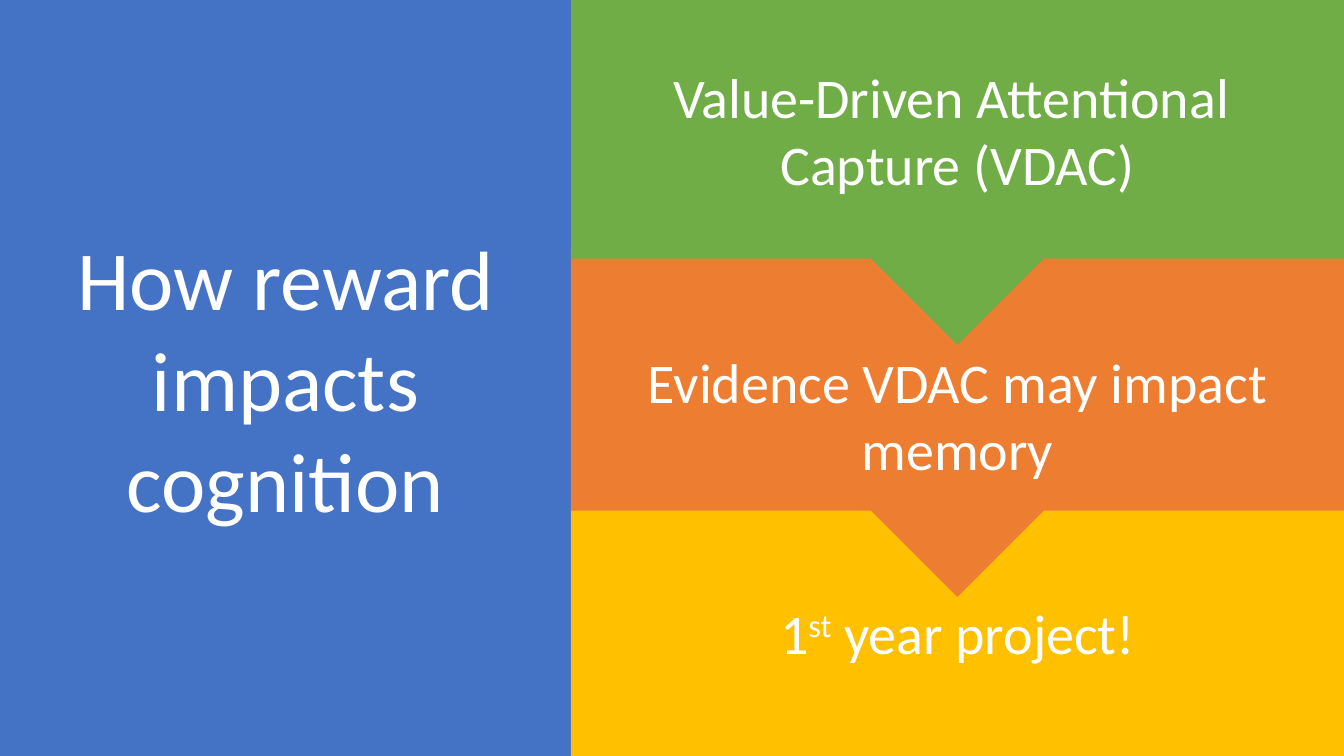
from pptx import Presentation
from pptx.dml.color import RGBColor
from pptx.enum.shapes import MSO_SHAPE
from pptx.enum.text import MSO_ANCHOR, MSO_AUTO_SIZE, PP_ALIGN

EMU_PER_PX = 914400 / 100.8
PT = 12700
WIDTH, HEIGHT = 1344, 756
TITLE_WIDTH = 571
STEP = HEIGHT // 3
CALLOUT_HEIGHT = 345
LAST_TOP = 508


def px(n):
    return round(n * EMU_PER_PX)


def color(hex_string):
    return RGBColor.from_string(hex_string)


class Deck:
    font = "Calibri"
    text_color = "FFFFFF"
    title_size = 60
    step_size = 40

    def __init__(self):
        self.prs = Presentation()
        self.prs.slide_width, self.prs.slide_height = px(WIDTH), px(HEIGHT)
        self.s = self.prs.slides.add_slide(self.prs.slide_layouts[5])

    def fill(self, sp, hex_string):
        sp.fill.solid()
        sp.fill.fore_color.rgb = color(hex_string)
        sp.line.fill.background()

    def format_text(self, tf, size):
        tf.word_wrap = True
        tf.auto_size = MSO_AUTO_SIZE.NONE
        tf.vertical_anchor = MSO_ANCHOR.MIDDLE
        for p in tf.paragraphs:
            p.alignment = PP_ALIGN.CENTER
            for r in p.runs:
                r.font.name = self.font
                r.font.size = size * PT
                r.font.color.rgb = color(self.text_color)

    def title_panel(self, text, hex_string):
        sp = self.s.shapes.title
        sp.left, sp.top = 0, 0
        sp.width, sp.height = px(TITLE_WIDTH), px(HEIGHT)
        self.fill(sp, hex_string)
        sp.text_frame.text = text
        self.format_text(sp.text_frame, self.title_size)

    def step(self, kind, top, height, paragraphs, hex_string):
        """Add a panel right of the title; each paragraph is a list of runs."""
        sp = self.s.shapes.add_shape(kind, px(TITLE_WIDTH), px(top),
                                     px(WIDTH - TITLE_WIDTH), px(height))
        sp.shadow.inherit = False
        self.fill(sp, hex_string)
        tf = sp.text_frame
        for i, runs in enumerate(paragraphs):
            p = tf.add_paragraph() if i else tf.paragraphs[0]
            for text in runs:
                p.add_run().text = text
        self.format_text(tf, self.step_size)
        return sp

    def callout(self, top, paragraphs, hex_string):
        sp = self.step(MSO_SHAPE.DOWN_ARROW_CALLOUT, top, CALLOUT_HEIGHT,
                       paragraphs, hex_string)
        for i, value in enumerate((0.5, 0.25, 0.25, 0.75)):
            sp.adjustments[i] = value
        return sp

    def superscript(self, r):
        r.font._element.set("baseline", "30000")


def main():
    deck = Deck()
    deck.title_panel("How reward impacts cognition", "4472C4")

    project = deck.step(MSO_SHAPE.RECTANGLE, LAST_TOP, HEIGHT - LAST_TOP,
                        [["1", "st", " year project!"]], "FFC000")
    deck.superscript(project.text_frame.paragraphs[0].runs[1])

    evidence = deck.callout(STEP, [["Evidence VDAC may impact memory"]], "ED7D31")
    evidence.text_frame.margin_top = px(72)  # clears the arrow above

    deck.callout(0, [["Value-Driven Attentional "], ["Capture (VDAC)"]], "70AD47")
    deck.prs.save("out.pptx")


if __name__ == "__main__":
    main()
